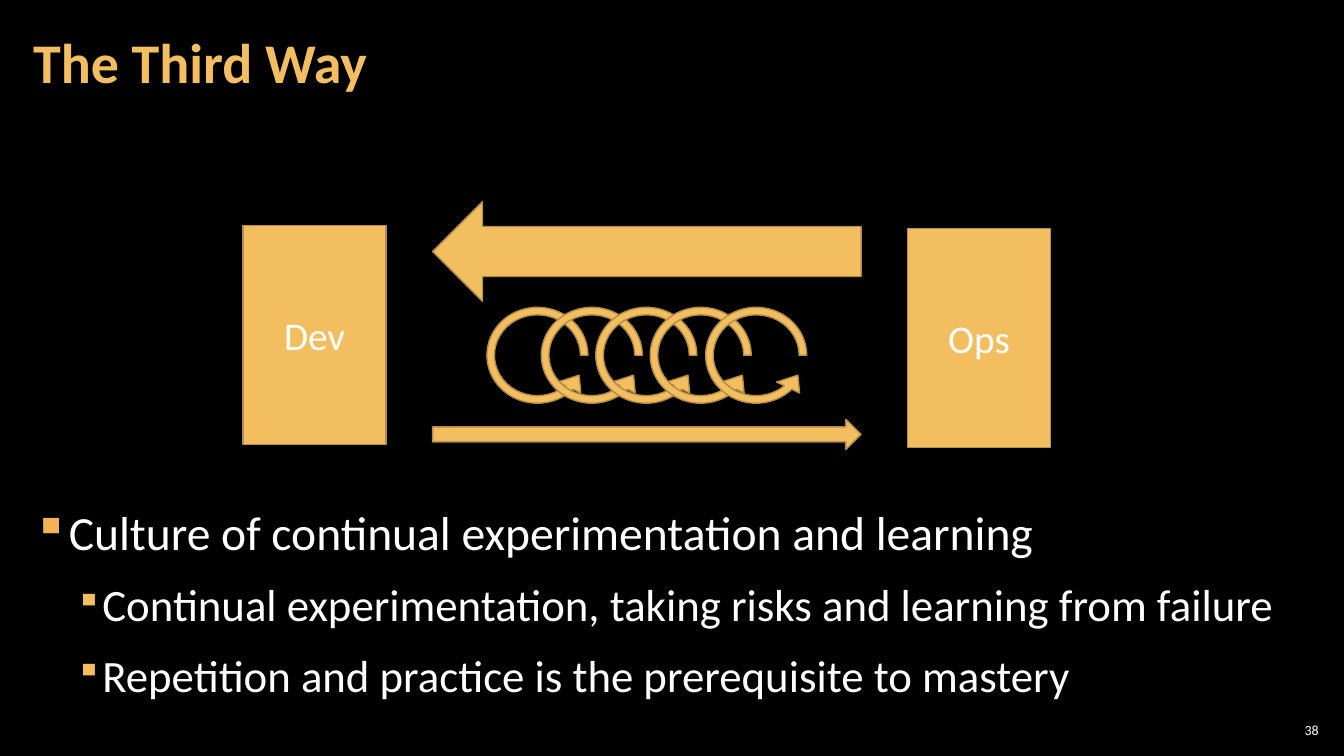
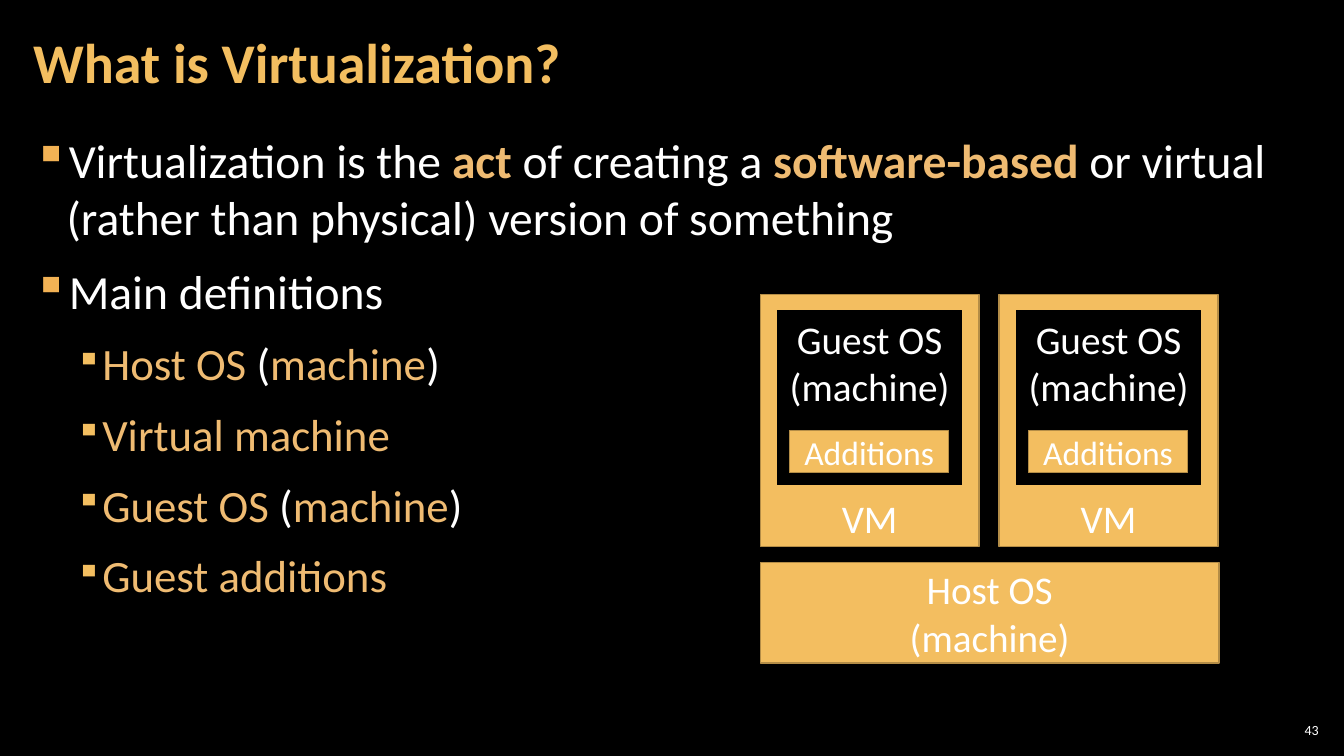
"""Builds two dark slides on the third way of DevOps and on virtualization."""
from lxml import etree
from pptx import Presentation
from pptx import util as u
from pptx.dml.color import RGBColor
from pptx.enum import shapes, text
from pptx.oxml.ns import qn

BLACK = RGBColor(0x00, 0x00, 0x00)
WHITE = RGBColor(0xFF, 0xFF, 0xFF)
GOLD = RGBColor(0xF3, 0xBE, 0x60)
EDGE = RGBColor(0xB4, 0x8D, 0x47)
ACCENT = RGBColor(0xEF, 0xBB, 0x72)
MARK = RGBColor(0xF2, 0xB2, 0x54)
FONT = "Calibri"
SCALE = 9144
LEVELS = [(34, 33, 33, 100, MARK), (32, 67, 25, 80, GOLD)]
RECT = shapes.MSO_SHAPE.RECTANGLE
TOP = text.MSO_ANCHOR.TOP
MIDDLE = text.MSO_ANCHOR.MIDDLE
BOTTOM = text.MSO_ANCHOR.BOTTOM


def px(*sizes):
    """Turn lengths in px into EMU."""
    return [u.Emu(size * SCALE) for size in sizes]


class Deck:
    """Holds the shared style and the current slide."""

    def __init__(self):
        """Start an empty deck."""
        self.prs = Presentation()
        self.prs.slide_width, self.prs.slide_height = px(1333, 750)
        self.slide = None

    def page(self, title, number):
        """Add a slide with its background, title and number."""
        self.slide = self.prs.slides.add_slide(self.prs.slide_layouts[6])
        fill = self.slide.background.fill
        fill.solid()
        fill.fore_color.rgb = BLACK
        para = self.box(21, 4, 1047, 121, 12, MIDDLE).paragraphs[0]
        para.text = title
        para.line_spacing = 0.9
        self.style(para, 40, GOLD, True)
        para = self.box(1265, 714, 47, 21, 4, MIDDLE).paragraphs[0]
        para.text = str(number)
        para.alignment = text.PP_ALIGN.RIGHT
        self.style(para, 10)

    def style(self, para, size, color=WHITE, bold=False):
        """Set the font of a paragraph."""
        font = para.font
        font.name, font.size, font.bold = FONT, u.Pt(size), bold
        font.color.rgb = color

    def box(self, x, y, w, h, side, anchor=TOP):
        """Add a wrapped text box and return its frame."""
        frame = self.slide.shapes.add_textbox(*px(x, y, w, h)).text_frame
        frame.word_wrap = True
        frame.vertical_anchor = anchor
        frame.margin_left, frame.margin_right = px(side, side)
        frame.margin_top, frame.margin_bottom = px(4, 4)
        return frame

    def bullet(self, para, level):
        """Give a paragraph the square mark and indent of its level."""
        _, left, hang, ratio, color = LEVELS[level]
        props = para._p.get_or_add_pPr()
        props.set("marL", str(left * SCALE))
        props.set("indent", str(-hang * SCALE))
        tint = etree.SubElement(props, qn("a:buClr"))
        etree.SubElement(tint, qn("a:srgbClr"), val=str(color))
        etree.SubElement(props, qn("a:buSzPct"), val=str(ratio * 1000))
        etree.SubElement(props, qn("a:buChar"), char="▪")

    def body(self, y, items):
        """Add bulleted lines, with accents between asterisks."""
        frame = self.box(21, y, 1291, 735 - y, 12)
        for i, (level, line) in enumerate(items):
            para = frame.add_paragraph() if i else frame.paragraphs[0]
            para.level = level
            self.bullet(para, level)
            para.space_before = u.Pt(6 if i else 0)
            para.space_after = u.Pt(6)
            self.style(para, LEVELS[level][0])
            for j, part in enumerate(line.split("*")):
                if part:
                    run = para.add_run()
                    run.text = part
                    if j % 2:
                        run.font.color.rgb = ACCENT
                        run.font.bold = level == 0

    def shape(self, kind, x, y, w, h, fill=GOLD, line=EDGE):
        """Add a filled and outlined preset shape."""
        shape = self.slide.shapes.add_shape(kind, *px(x, y, w, h))
        shape.shadow.inherit = False
        shape.fill.solid()
        shape.fill.fore_color.rgb = fill
        shape.line.color.rgb = line
        shape.line.width = u.Pt(1)
        return shape

    def block(self, x, y, w, h, lines, size=28, anchor=MIDDLE, fill=GOLD, line=EDGE):
        """Add a rectangle with centred lines of text."""
        frame = self.shape(RECT, x, y, w, h, fill, line).text_frame
        frame.word_wrap = True
        frame.vertical_anchor = anchor
        for i, label in enumerate(lines):
            para = frame.add_paragraph() if i else frame.paragraphs[0]
            para.text = label
            para.alignment = text.PP_ALIGN.CENTER
            self.style(para, size)

    def loop(self, x, y):
        """Add a mirrored circular arrow."""
        shape = self.shape(shapes.MSO_SHAPE.CIRCULAR_ARROW, x, y, 118, 113)
        for i, value in enumerate((0.066, 11.884, 80.817, 108, 0.112)):
            shape.adjustments[i] = value
        shape.element.spPr.xfrm.set("flipH", "1")

    def guest(self, x, y):
        """Add a virtual machine with its guest system and additions."""
        self.block(x, y, 217, 250, ["VM"], anchor=BOTTOM)
        self.block(x + 17, y + 16, 183, 173, ["Guest OS", "(machine)"],
                   anchor=TOP, fill=BLACK, line=BLACK)
        self.block(x + 29, y + 135, 158, 42, ["Additions"], 24)


def main():
    """Build and save both slides."""
    deck = Deck()
    deck.page("The Third Way", 38)
    deck.body(495, [
        (0, "Culture of continual experimentation and learning"),
        (1, "Continual experimentation, taking risks and learning from failure"),
        (1, "Repetition and practice is the prerequisite to mastery"),
    ])
    deck.block(241, 224, 142, 217, ["Dev"])
    deck.block(900, 227, 142, 217, ["Ops"])
    deck.shape(shapes.MSO_SHAPE.RIGHT_ARROW, 429, 416, 425, 30)
    deck.shape(shapes.MSO_SHAPE.LEFT_ARROW, 429, 200, 425, 99)
    for i in range(5):
        deck.loop(474 + i * 217 // 4, 296)

    deck.page("What is Virtualization?", 43)
    deck.body(126, [
        (0, "Virtualization is the *act *of creating a *software-based* or virtual "
            "(rather than physical) version of something"),
        (0, "Main definitions"),
        (1, "*Host OS *(*machine*)"),
        (1, "*Virtual machine*"),
        (1, "*Guest OS *(*machine*)"),
        (1, "*Guest additions*"),
    ])
    deck.block(754, 558, 455, 100, ["Host OS", "(machine)"])
    for x in (754, 991):
        deck.guest(x, 292)
    deck.prs.save("out.pptx")


if __name__ == "__main__":
    main()
